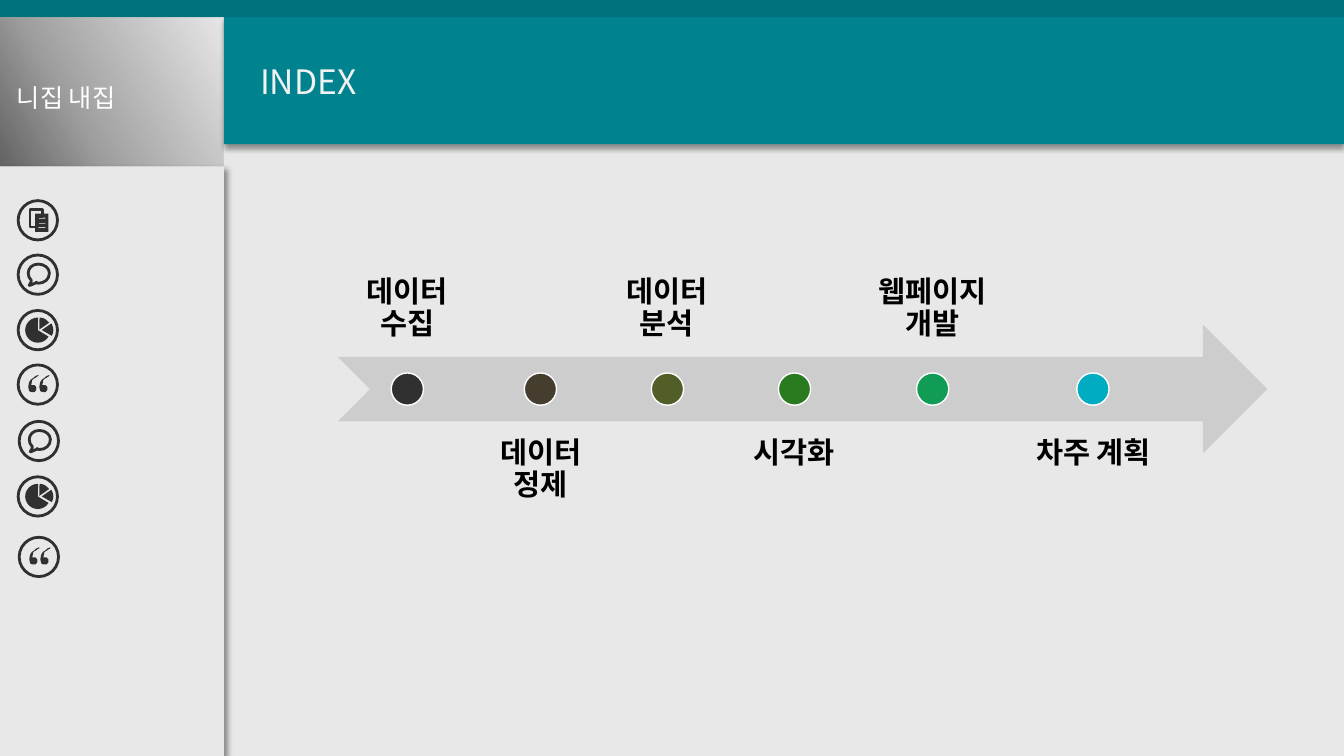
from lxml import etree
from pptx import Presentation
from pptx.dml.color import RGBColor
from pptx.enum.shapes import MSO_SHAPE as Shape
from pptx.enum.text import MSO_ANCHOR as Anchor, MSO_AUTO_SIZE as AutoSize, PP_ALIGN as Align
from pptx.oxml import parse_xml
from pptx.oxml.ns import qn
from pptx.util import Inches, Pt

FONT = "Noto Sans CJK KR"
DRAWING_NS = 'xmlns:a="http://schemas.openxmlformats.org/drawingml/2006/main"'

PAPER = RGBColor(0xE8, 0xE8, 0xE8)
TEAL = RGBColor(0x00, 0x83, 0x8F)
DARK_TEAL = RGBColor(0x00, 0x72, 0x7E)
INK = RGBColor(0x30, 0x30, 0x30)
ARROW_GRAY = RGBColor(0xCD, 0xCD, 0xCD)
TITLE_WHITE = RGBColor(0xF2, 0xF2, 0xF2)
WHITE = RGBColor(0xFF, 0xFF, 0xFF)
BLACK = RGBColor(0x00, 0x00, 0x00)

ICON_SIZE = 0.39
DOT_SIZE = 0.32
ARROW_LEFT, ARROW_TOP, ARROW_WIDTH, ARROW_HEIGHT = 3.35, 3.22, 9.22, 1.28

# Step text, left of dot, left and width of label, dot colour
STEPS = [
    ("데이터 수집", 3.88, 3.35, 1.38, INK),
    ("데이터 정제", 5.2, 4.79, 1.15, RGBColor(0x45, 0x3E, 0x2E)),
    ("데이터 분석", 6.46, 5.99, 1.25, RGBColor(0x52, 0x5E, 0x28)),
    ("시각화", 7.72, 7.3, 1.15, RGBColor(0x2A, 0x7B, 0x1F)),
    ("웹페이지 개발", 9.09, 8.51, 1.48, RGBColor(0x11, 0x9C, 0x56)),
    ("차주 계획", 10.68, 10.05, 1.59, RGBColor(0x00, 0xAC, 0xC1)),
]

# Outlines inside an icon circle: two numbers are a line, six a curve
BUBBLE = [
    (0.2, 0.09), (0.26, 0.09, 0.31, 0.13, 0.31, 0.18),
    (0.31, 0.24, 0.26, 0.28, 0.2, 0.28), (0.18, 0.28, 0.18, 0.27, 0.18, 0.27),
    (0.17, 0.28), (0.16, 0.28, 0.11, 0.31, 0.11, 0.3),
    (0.13, 0.28, 0.13, 0.26, 0.13, 0.25), (0.13, 0.25),
    (0.11, 0.23, 0.1, 0.21, 0.1, 0.18), (0.1, 0.13, 0.14, 0.09, 0.2, 0.09),
]
QUOTE_MARK = [
    (0.31, 0.1), (0.31, 0.11), (0.3, 0.12, 0.28, 0.12, 0.28, 0.13),
    (0.27, 0.13, 0.26, 0.14, 0.25, 0.15), (0.25, 0.17, 0.24, 0.18, 0.24, 0.2),
    (0.24, 0.2, 0.25, 0.2, 0.25, 0.2), (0.27, 0.2, 0.28, 0.2, 0.28, 0.21),
    (0.29, 0.21, 0.29, 0.22, 0.29, 0.23), (0.29, 0.25, 0.29, 0.26, 0.28, 0.26),
    (0.28, 0.27, 0.27, 0.27, 0.26, 0.27), (0.24, 0.27, 0.23, 0.27, 0.22, 0.26),
    (0.22, 0.25, 0.21, 0.23, 0.21, 0.22), (0.21, 0.2, 0.22, 0.18, 0.22, 0.17),
    (0.23, 0.15, 0.24, 0.14, 0.26, 0.13), (0.27, 0.11, 0.29, 0.11, 0.31, 0.1),
]
BACK_PAGE = [(0.12, 0.09), (0.24, 0.09), (0.24, 0.16), (0.19, 0.16), (0.19, 0.26), (0.12, 0.26)]

# Left, top, size, start and end adjustment of each slice
PIE_SLICES = [
    (0.07, 0.07, 0.25, 18.6, 162.88),
    (0.12, 0.08, 0.23, 195.14, 17.94),
    (0.09, 0.07, 0.24, 162.78, 195.05),
]


def style(shape, fill=None, line=None, weight=1):
    shape.shadow.inherit = False
    if fill is None:
        shape.fill.background()
    else:
        shape.fill.solid()
        shape.fill.fore_color.rgb = fill
    if line is None:
        shape.line.fill.background()
    else:
        shape.line.color.rgb = line
        shape.line.width = Pt(weight)
    return shape


def add_preset(shapes, kind, left, top, width, height, **look):
    shape = shapes.add_shape(kind, Inches(left), Inches(top), Inches(width), Inches(height))
    return style(shape, **look)


def box_outline(left, top, width, height):
    right, bottom = left + width, top + height
    return [(left, top), (right, top), (right, bottom), (left, bottom)]


def shift_left(outline, distance):
    return [tuple(value - distance if index % 2 == 0 else value for index, value in enumerate(segment))
            for segment in outline]


def bend(shape, outlines):
    """Join each three line steps that stand for a curve into one cubic step."""
    steps = shape.element.iter(qn("a:lnTo"))
    steps = iter(list(steps))
    for outline in outlines:
        for segment in outline[1:]:
            first = next(steps)
            if len(segment) == 6:
                curve = etree.Element(qn("a:cubicBezTo"))
                first.addprevious(curve)
                for step in (first, next(steps), next(steps)):
                    curve.append(step[0])
                    step.getparent().remove(step)


def add_outline(shapes, outlines, left, top, **look):
    """Draw closed outlines as one shape."""
    builder = None
    for outline in outlines:
        points = [(Inches(left + segment[i]), Inches(top + segment[i + 1]))
                  for segment in outline for i in range(0, len(segment), 2)]
        if builder is None:
            builder = shapes.build_freeform(*points[0])
        else:
            builder.move_to(*points[0])
        builder.add_line_segments(points[1:], close=True)
    shape = builder.convert_to_shape()
    bend(shape, outlines)
    return style(shape, **look)


def add_shadow(shape, direction):
    effects = shape.element.spPr.find(qn("a:effectLst"))
    effects.append(parse_xml(
        f'<a:outerShdw {DRAWING_NS} blurRad="{Pt(4)}" dist="{Pt(3)}" dir="{direction * 60000}" '
        'algn="t" rotWithShape="0"><a:srgbClr val="000000"><a:alpha val="40000"/></a:srgbClr></a:outerShdw>'))


def fade(shape):
    """Fill with a dark gray that grows opaque towards the lower left."""
    stops = "".join(
        f'<a:gs pos="{place * 1000}"><a:srgbClr val="404040"><a:alpha val="{alpha * 1000}"/></a:srgbClr></a:gs>'
        for place, alpha in ((0, 0), (66, 44), (100, 79)))
    properties = shape.element.spPr
    properties.replace(properties.find(qn("a:solidFill")), parse_xml(
        f'<a:gradFill {DRAWING_NS}><a:gsLst>{stops}</a:gsLst>'
        f'<a:lin ang="{150 * 60000}" scaled="0"/></a:gradFill>'))


def write(shape, text, size, color, bold=False, align=Align.LEFT, anchor=Anchor.TOP,
          wrap=False, inset=None, spacing=None):
    frame = shape.text_frame
    frame.word_wrap = wrap
    frame.auto_size = AutoSize.NONE if wrap else AutoSize.SHAPE_TO_FIT_TEXT
    frame.vertical_anchor = anchor
    if inset is not None:
        frame.margin_left = frame.margin_right = Inches(inset)
        frame.margin_top = frame.margin_bottom = Inches(inset)
    paragraph = frame.paragraphs[0]
    paragraph.alignment = align
    if spacing:
        paragraph.line_spacing = spacing
    run = paragraph.add_run()
    run.text = text
    run.font.size, run.font.bold, run.font.name = Pt(size), bold, FONT
    run.font.color.rgb = color
    etree.SubElement(run._r.rPr, qn("a:ea"), typeface=FONT)


def add_text(shapes, text, left, top, width, height, **text_format):
    box = shapes.add_textbox(Inches(left), Inches(top), Inches(width), Inches(height))
    write(box, text, **text_format)


def draw_pages(shapes, left, top):
    add_outline(shapes, [BACK_PAGE], left, top, line=INK, weight=1.75)
    text_lines = [box_outline(0.19, row, 0.08, 0.01) for row in (0.17, 0.22, 0.26)]
    add_outline(shapes, [*text_lines, box_outline(0.17, 0.13, 0.13, 0.18)], left, top, fill=INK)


def draw_bubble(shapes, left, top):
    add_outline(shapes, [BUBBLE], left, top, line=INK, weight=2)


def draw_pie(shapes, left, top):
    for x, y, size, start, end in PIE_SLICES:
        piece = add_preset(shapes, Shape.PIE, left + x, top + y, size, size, fill=INK)
        piece.adjustments[0], piece.adjustments[1] = start, end


def draw_quote(shapes, left, top):
    add_outline(shapes, [QUOTE_MARK, shift_left(QUOTE_MARK, 0.11)], left, top, fill=INK)


def add_icon(slide, draw, left, top):
    shapes = slide.shapes.add_group_shape().shapes
    add_preset(shapes, Shape.OVAL, left, top, ICON_SIZE, ICON_SIZE, line=INK, weight=2)
    draw(shapes, left, top)


def add_frame(slide):
    """Draw the banner, the top strip and the sidebar."""
    shapes = slide.shapes
    add_shadow(add_preset(shapes, Shape.RECTANGLE, 2.22, 0.17, 11.11, 1.26, fill=TEAL), 90)
    add_preset(shapes, Shape.RECTANGLE, 0, 0, 13.33, 0.17, fill=DARK_TEAL)
    fade(add_outline(shapes, [box_outline(0, 0.17, 2.22, 1.48)], 0, 0, fill=INK))
    add_text(shapes, "니집 내집", 0.07, 0.77, 1.27, 0.4, size=18, color=WHITE)
    add_shadow(add_preset(shapes, Shape.RECTANGLE, 0, 1.65, 2.22, 5.85, fill=PAPER), 45)


def place_title(slide):
    title = slide.shapes.title
    title.left, title.top, title.width, title.height = map(Inches, (2.48, 0.55, 1.27, 0.5))
    write(title, "INDEX", size=24, color=TITLE_WHITE, anchor=Anchor.MIDDLE)
    title.element.getparent().append(title.element)


def add_timeline(slide):
    shapes = slide.shapes.add_group_shape().shapes
    add_preset(shapes, Shape.NOTCHED_RIGHT_ARROW, ARROW_LEFT, ARROW_TOP, ARROW_WIDTH, ARROW_HEIGHT,
               fill=ARROW_GRAY)
    for index, (text, dot_left, label_left, width, color) in enumerate(STEPS):
        top, anchor = ((2.26, Anchor.BOTTOM), (4.19, Anchor.TOP))[index % 2]
        add_text(shapes, text, label_left, top, width, ARROW_HEIGHT, size=21, color=BLACK, bold=True,
                 align=Align.CENTER, anchor=anchor, wrap=True, inset=0.16, spacing=0.9)
        add_preset(shapes, Shape.OVAL, dot_left, 3.7, DOT_SIZE, DOT_SIZE, fill=color, line=WHITE)


def main():
    presentation = Presentation()
    presentation.slide_width, presentation.slide_height = Inches(13.33), Inches(7.5)
    slide = presentation.slides.add_slide(presentation.slide_layouts[5])
    slide.background.fill.solid()
    slide.background.fill.fore_color.rgb = PAPER
    add_frame(slide)
    icons = [(draw_pages, 0.18, 1.99), (draw_bubble, 0.18, 2.53), (draw_pie, 0.18, 3.08),
             (draw_quote, 0.18, 3.62), (draw_bubble, 0.19, 4.18), (draw_pie, 0.18, 4.73),
             (draw_quote, 0.19, 5.33)]
    for draw, left, top in icons:
        add_icon(slide, draw, left, top)
    place_title(slide)
    add_timeline(slide)
    presentation.save("out.pptx")


if __name__ == "__main__":
    main()
